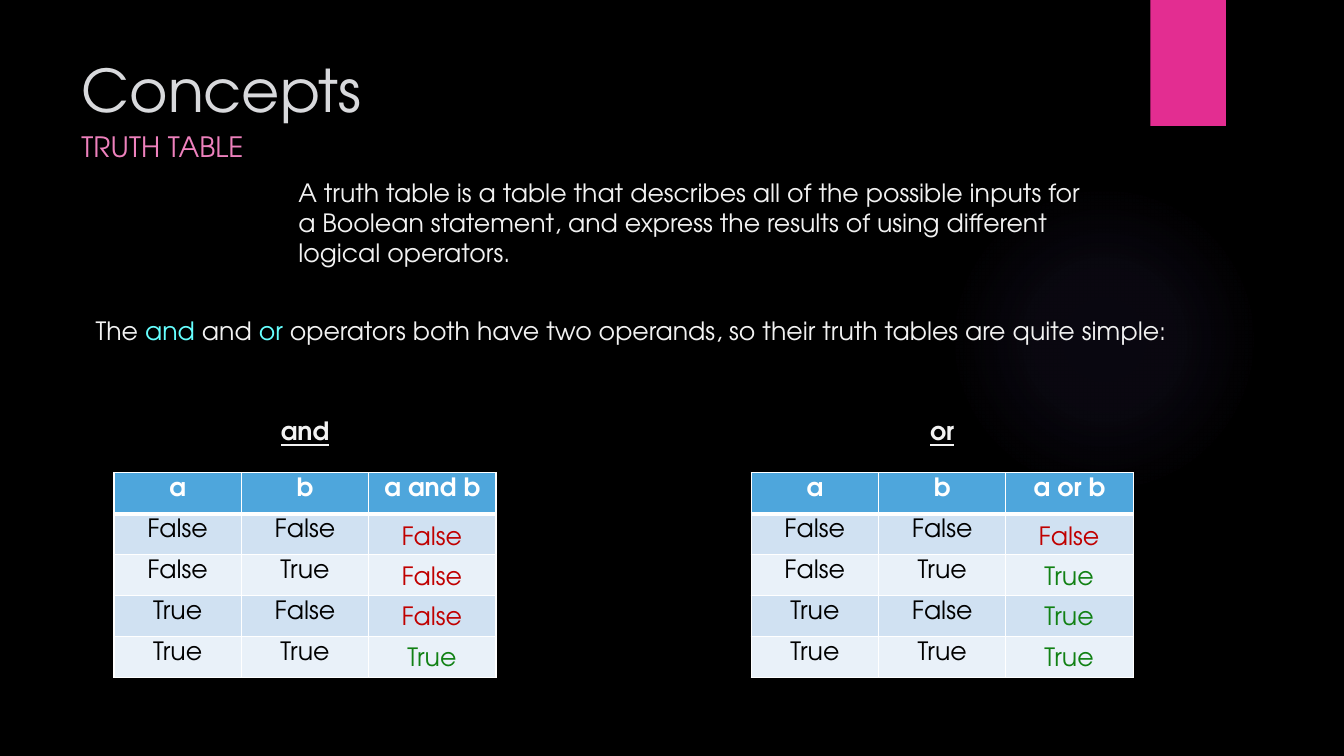
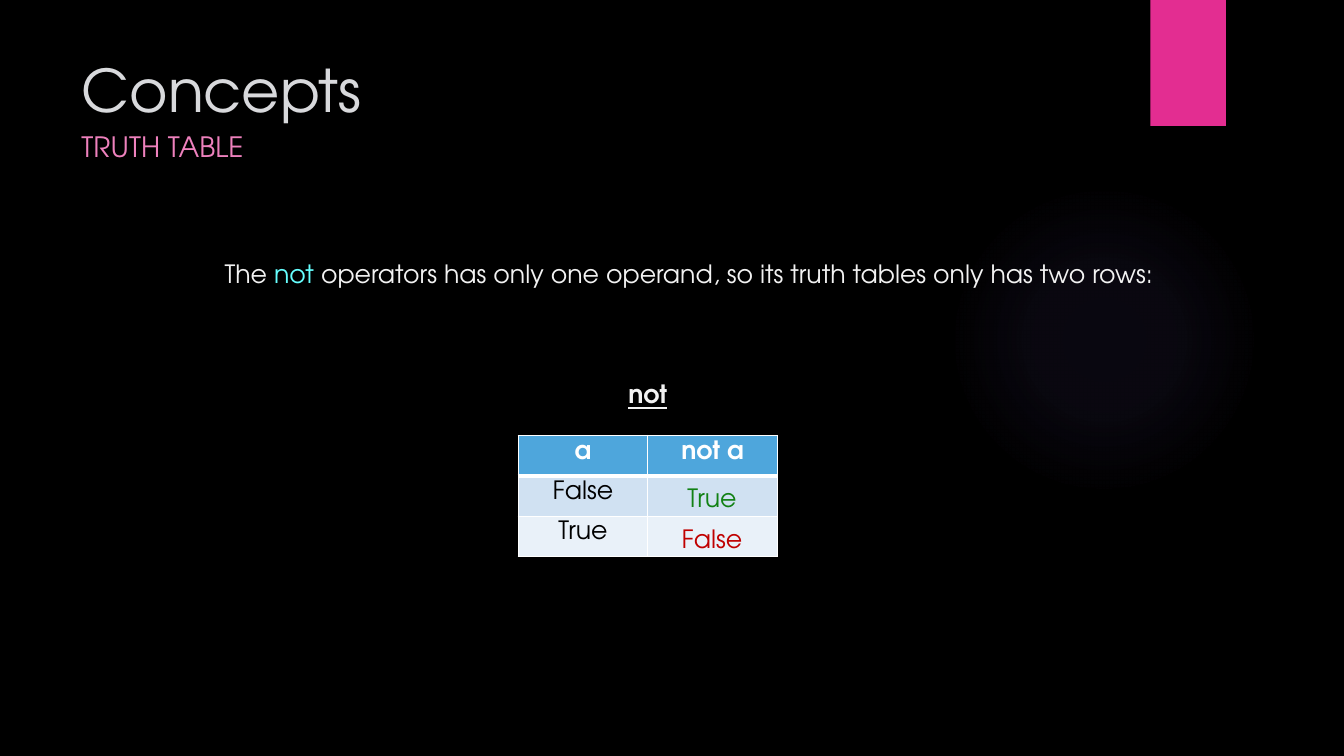
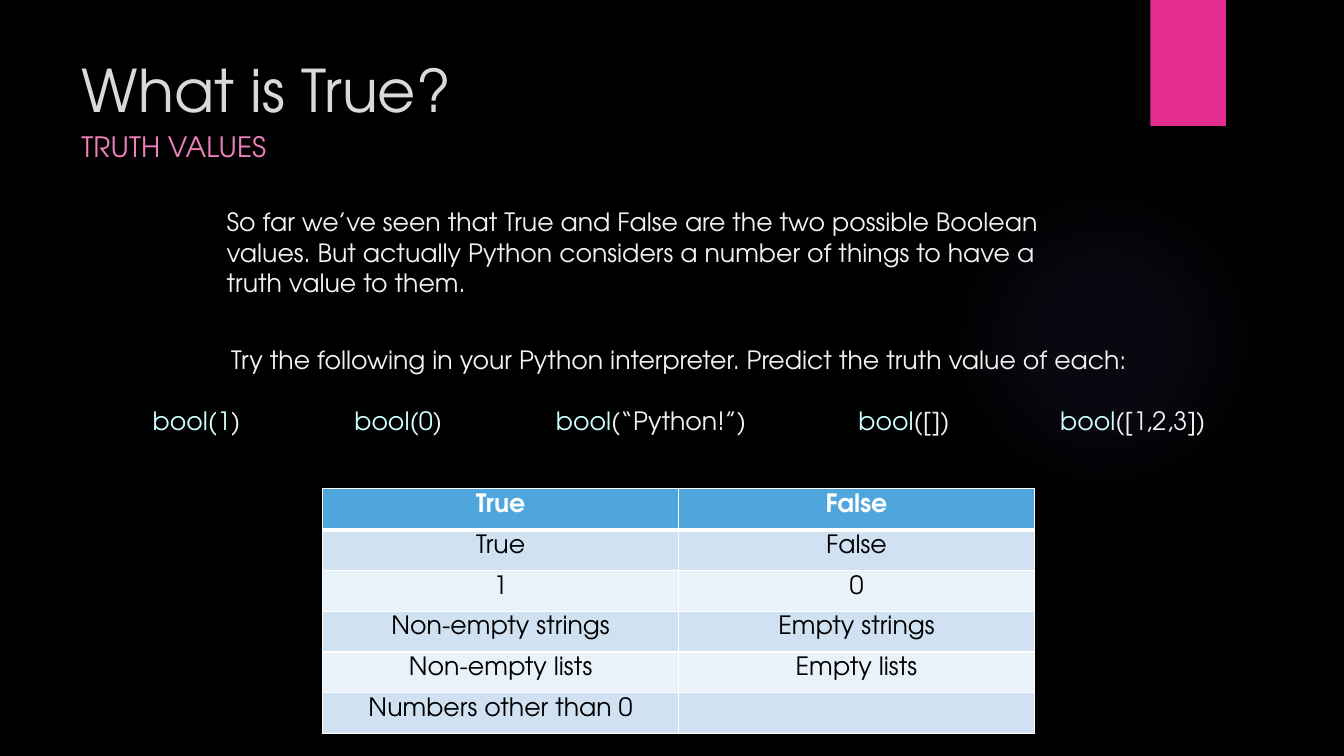
from pptx import Presentation
from pptx import util as u
from pptx.dml.color import RGBColor
from pptx.enum import shapes, text
from pptx.oxml import parse_xml
from pptx.oxml.ns import nsdecls, qn

FONT = "TeX Gyre Adventor"
BLACK, WHITE, BODY = "000000", "FFFFFF", "F2F2F2"
TITLE, SUBTITLE, ACCENT, GLOW = "D8D9DC", "EE81BD", "E32D91", "8971E1"
KEYWORD, CODE = "66FFFF", "CCFFFF"
HEADER, BANDS = "4EA6DC", ("E9F1F9", "D0E1F2")
ANSWERS = {"True": "118114", "False": "C00000"}
LEFT, CENTER = text.PP_ALIGN.LEFT, text.PP_ALIGN.CENTER


def colour(value):
    """Turn a hex string into a colour."""
    return RGBColor.from_string(value)


def place(item, left, top, width, height):
    """Set the position and size of a shape in inches."""
    for name, value in dict(left=left, top=top, width=width, height=height).items():
        setattr(item, name, u.Inches(value))


def write(para, spans, align=LEFT, **formats):
    """Fill a paragraph with (text, colour) spans in one format."""
    formats = {"name": FONT, "size": u.Pt(18), **formats}
    para.alignment = align
    for name, value in formats.items():
        setattr(para.font, name, value)
    for words, shade in spans:
        span = para.add_run()
        span.text = words
        for name, value in formats.items():
            setattr(span.font, name, value)
        span.font.color.rgb = colour(shade)


def add_text(page, area, spans, align=LEFT, **formats):
    """Add a wrapped text box and return its frame."""
    frame = page.shapes.add_textbox(*map(u.Inches, area)).text_frame
    frame.word_wrap = True
    write(frame.paragraphs[0], spans, align, **formats)
    return frame


def add_shape(page, kind, area):
    """Add a preset shape without line or shadow."""
    shape = page.shapes.add_shape(kind, *map(u.Inches, area))
    shape.shadow.inherit = False
    shape.line.fill.background()
    return shape


def add_glow(page):
    """Add the faint round glow with a radial gradient."""
    glow = add_shape(page, shapes.MSO_SHAPE.OVAL, (9.41, 1.83, 3.08, 3.08))
    glow.fill.background()
    stops = "".join(
        f'<a:gs pos="{pos * 1000}"><a:srgbClr val="{GLOW}">'
        f'<a:alpha val="{alpha * 1000}"/></a:srgbClr></a:gs>'
        for pos, alpha in ((0, 7), (36, 6), (69, 0)))
    gradient = parse_xml(
        f'<a:gradFill {nsdecls("a")} rotWithShape="1"><a:gsLst>{stops}</a:gsLst>'
        '<a:path path="circle"><a:fillToRect l="50000" t="50000" r="50000" b="50000"/>'
        '</a:path></a:gradFill>')
    properties = glow.element.spPr
    properties.replace(properties.find(qn("a:noFill")), gradient)
    return glow


def add_ribbon(page):
    """Add the pink ribbon at the top edge."""
    ribbon = add_shape(page, shapes.MSO_SHAPE.RECTANGLE, (11.41, 0, 0.75, 1.25))
    ribbon.fill.solid()
    ribbon.fill.fore_color.rgb = colour(ACCENT)
    return ribbon


def style_layout(layout, page):
    """Put the shared background, glow and ribbon on the layout."""
    layout.background.fill.solid()
    layout.background.fill.fore_color.rgb = colour(BLACK)
    for index, item in enumerate((add_glow(page), add_ribbon(page))):
        layout.shapes.element.insert(2 + index, item.element)


def add_heading(page, title, subtitle):
    """Format the title placeholder and add the subtitle."""
    box = page.shapes.title
    place(box, 0.71, 0.48, 10.29, 1.04)
    frame = box.text_frame
    frame.vertical_anchor = text.MSO_ANCHOR.TOP
    frame.auto_size = text.MSO_AUTO_SIZE.NONE
    write(frame.paragraphs[0], [(title, TITLE)], size=u.Pt(42))
    add_text(page, (0.71, 1.24, 9.65, 0.94), [(subtitle, SUBTITLE)], size=u.Pt(20))


def add_borders(cell, row):
    """Draw white cell borders, thick between header and body."""
    heavy = {0: "B", 1: "T"}.get(row)
    for index, side in enumerate("LRTB"):
        width = u.Pt(3 if side == heavy else 1)
        line = parse_xml(
            f'<a:ln{side} {nsdecls("a")} w="{width}"><a:solidFill>'
            f'<a:srgbClr val="{WHITE}"/></a:solidFill></a:ln{side}>')
        cell._tc.get_or_add_tcPr().insert(index, line)


def add_table(page, area, rows):
    """Add a banded table whose first row is the header."""
    table = page.shapes.add_table(len(rows), len(rows[0]), *map(u.Inches, area)).table
    for r, values in enumerate(rows):
        for c, value in enumerate(values):
            cell = table.cell(r, c)
            cell.fill.solid()
            cell.fill.fore_color.rgb = colour(BANDS[r % 2] if r else HEADER)
            add_borders(cell, r)
            spans = [(value, BLACK if r else WHITE)] if value else []
            write(cell.text_frame.paragraphs[0], spans, CENTER, bold=r == 0)


def add_truth_table(page, area, operator, header, inputs, answers):
    """Add a captioned truth table with answers over its last column."""
    left, top, width, height = area
    add_table(page, area, [header] + [[*values, ""] for values in inputs])
    add_text(page, (left + width / 2 - 1.63, top - 0.62, 3.26, 0.4),
             [(operator, BODY)], CENTER, bold=True, underline=True)
    middle = left + width - width / len(header) / 2
    for index, answer in enumerate(answers):
        add_text(page, (middle - 0.49, top + 0.42 + 0.4 * index, 0.97, 0.4),
                 [(answer, ANSWERS[answer])], CENTER)


def add_exercise(page):
    """Add the prompt and a tabbed line of expressions."""
    frame = add_text(page, (1.23, 3.37, 11.01, 1.01), [(
        "Try the following in your Python interpreter. "
        "Predict the truth value of each:", BODY)], CENTER)
    para = frame.add_paragraph()
    stops = "".join(f'<a:tab pos="{u.Inches(stop)}" algn="l"/>' for stop in (2, 4, 7, 9))
    para._p.get_or_add_pPr().append(
        parse_xml(f'<a:tabLst {nsdecls("a")}>{stops}</a:tabLst>'))
    para.space_before = u.Pt(21.8)
    calls = [("bool(1", ")\t"), ("bool(0", ")\t"), ("bool", "(“Python!”)\t"),
             ("bool", "([])\t"), ("bool", "([1,2,3])")]
    spans = [span for name, rest in calls for span in ((name, CODE), (rest, BODY))]
    write(para, spans, CENTER)


def build_and_or(page):
    """Build the truth tables of the two binary operators."""
    add_heading(page, "Concepts", "TRUTH TABLE")
    add_text(page, (2.86, 1.71, 8.01, 1.01), [(
        "A truth table is a table that describes all of the possible inputs for a "
        "Boolean statement, and express the results of using different logical "
        "operators.", BODY)])
    add_text(page, (0.85, 3.08, 11.85, 0.4), [
        ("The ", BODY), ("and ", KEYWORD), ("and ", BODY), ("or", KEYWORD),
        (" operators both have two operands, so their truth tables are quite simple:",
         BODY)])
    values = ("False", "True")
    inputs = [(a, b) for a in values for b in values]
    tables = (("and", 1.13, ("False", "False", "False", "True")),
              ("or", 7.45, ("False", "True", "True", "True")))
    for operator, left, answers in tables:
        add_truth_table(page, (left, 4.69, 3.79, 2.03), operator,
                        ["a", "b", f"a {operator} b"], inputs, answers)


def build_not(page):
    """Build the truth table of the unary operator."""
    add_heading(page, "Concepts", "TRUTH TABLE")
    add_text(page, (2.13, 2.51, 11, 0.4), [
        ("The ", BODY), ("not ", KEYWORD),
        ("operators has only one operand, so its truth tables only has two rows:", BODY)])
    add_truth_table(page, (5.14, 4.32, 2.57, 1.2), "not", ["a", "not a"],
                    [("False",), ("True",)], ("True", "False"))


def build_truth_values(page):
    """Build the overview of true and false values."""
    add_heading(page, "What is True?", "TRUTH VALUES")
    add_text(page, (2.15, 2, 8.53, 1.01), [(
        "So far we’ve seen that True and False are the two possible Boolean values. "
        "But actually Python considers a number of things to have a truth value to "
        "them.", BODY)])
    add_exercise(page)
    add_table(page, (3.2, 4.85, 7.06, 2.43), [
        ("True", "False"), ("True", "False"), ("1", "0"),
        ("Non-empty strings", "Empty strings"), ("Non-empty lists", "Empty lists"),
        ("Numbers other than 0", "")])


def main():
    """Build and save the deck."""
    deck = Presentation()
    deck.slide_width, deck.slide_height = u.Inches(13.33), u.Inches(7.5)
    layout = deck.slide_layouts.get_by_name("Title Only")
    pages = [deck.slides.add_slide(layout) for _ in range(3)]
    style_layout(layout, pages[0])
    for build, page in zip((build_and_or, build_not, build_truth_values), pages):
        build(page)
    deck.save("out.pptx")


if __name__ == "__main__":
    main()
